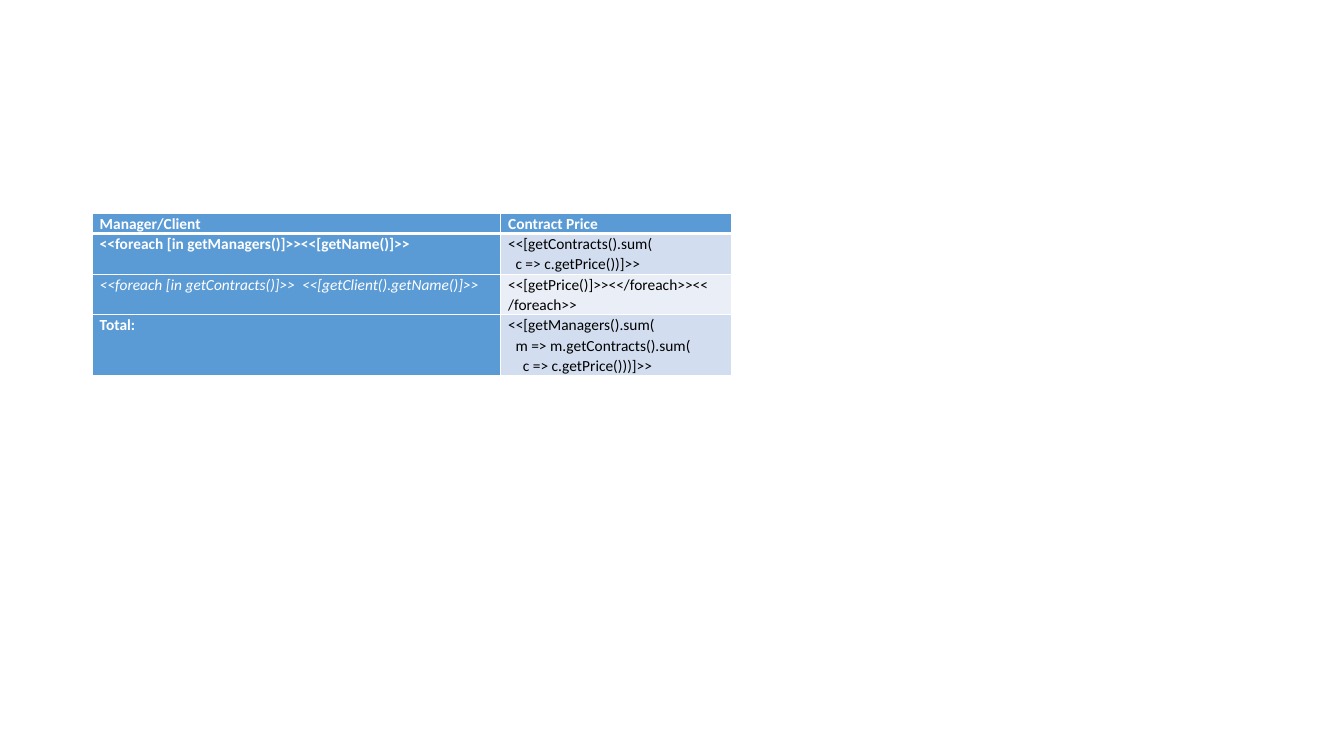
import pptx
import pptx.dml.color
import pptx.oxml
import pptx.oxml.ns
import pptx.util

PX = 9525  # EMU per pixel, 96 pixels to the inch
LINE_HEIGHT = 19
CODE_INDENT = 7
CELL_PADDING = 7

WHITE = pptx.dml.color.RGBColor(0xFF, 0xFF, 0xFF)
BLACK = pptx.dml.color.RGBColor(0x00, 0x00, 0x00)
BLUE = pptx.dml.color.RGBColor(0x5B, 0x9B, 0xD5)
BAND_DARK = pptx.dml.color.RGBColor(0xD2, 0xDE, 0xEF)
BAND_LIGHT = pptx.dml.color.RGBColor(0xEA, 0xEF, 0xF7)


def add_border(cell, side, points):
    cell._tc.get_or_add_tcPr().append(pptx.oxml.parse_xml(
        f'<a:ln{side} {pptx.oxml.ns.nsdecls("a")} w="{points * 12700}">'
        f'<a:solidFill><a:srgbClr val="{WHITE}"/></a:solidFill></a:ln{side}>'))


# Slide
deck = pptx.Presentation()
deck.slide_width = 1280 * PX
deck.slide_height = 720 * PX
slide = deck.slides.add_slide(deck.slide_layouts[6])

# Contract rows: label, price lines as (indent level, text)
contract_rows = [
    ("Manager/Client", [(0, "Contract Price")]),
    ("<<foreach [in getManagers()]>><<[getName()]>>",
     [(0, "<<[getContracts().sum("), (1, "c => c.getPrice())]>>")]),
    ("<<foreach [in getContracts()]>>  <<[getClient().getName()]>>",
     [(0, "<<[getPrice()]>><</foreach>><<"), (0, "/foreach>>")]),
    ("Total:",
     [(0, "<<[getManagers().sum("), (1, "m => m.getContracts().sum("),
      (2, "c => c.getPrice()))]>>")]),
]
HEADER_ROW, CLIENT_ROW = 0, 2

# Table frame
column_widths = [389, 220]
total_lines = sum(len(price) for _, price in contract_rows)
contracts = slide.shapes.add_table(
    len(contract_rows), len(column_widths), 88 * PX, 203 * PX,
    sum(column_widths) * PX, total_lines * LINE_HEIGHT * PX).table
for column, width in zip(contracts.columns, column_widths):
    column.width = width * PX

# Cells
for row, (label, price) in enumerate(contract_rows):
    contracts.rows[row].height = len(price) * LINE_HEIGHT * PX
    for col, lines in enumerate([[(0, label)], price]):
        cell = contracts.cell(row, col)
        cell.margin_left = cell.margin_right = CELL_PADDING * PX
        cell.margin_top = cell.margin_bottom = 0
        on_blue = row == HEADER_ROW or col == 0

        # Thick rule under the header, thin rules elsewhere
        add_border(cell, "L", 1)
        add_border(cell, "R", 1)
        add_border(cell, "T", 3 if row == HEADER_ROW + 1 else 1)
        add_border(cell, "B", 3 if row == HEADER_ROW else 1)
        cell.fill.solid()
        band = BAND_DARK if row % 2 else BAND_LIGHT
        cell.fill.fore_color.rgb = BLUE if on_blue else band

        # Text
        for number, (level, text) in enumerate(lines):
            frame = cell.text_frame
            paragraph = frame.add_paragraph() if number else frame.paragraphs[0]
            paragraph.line_spacing = 1.07
            if level:
                paragraph._p.get_or_add_pPr().set("marL", str(level * CODE_INDENT * PX))
            run = paragraph.add_run()
            run.text = text
            run.font.name = "Calibri"
            run.font.size = pptx.util.Pt(11)
            run.font.color.rgb = WHITE if on_blue else BLACK
            run.font.bold = on_blue and row != CLIENT_ROW
            run.font.italic = on_blue and row == CLIENT_ROW

deck.save("out.pptx")
